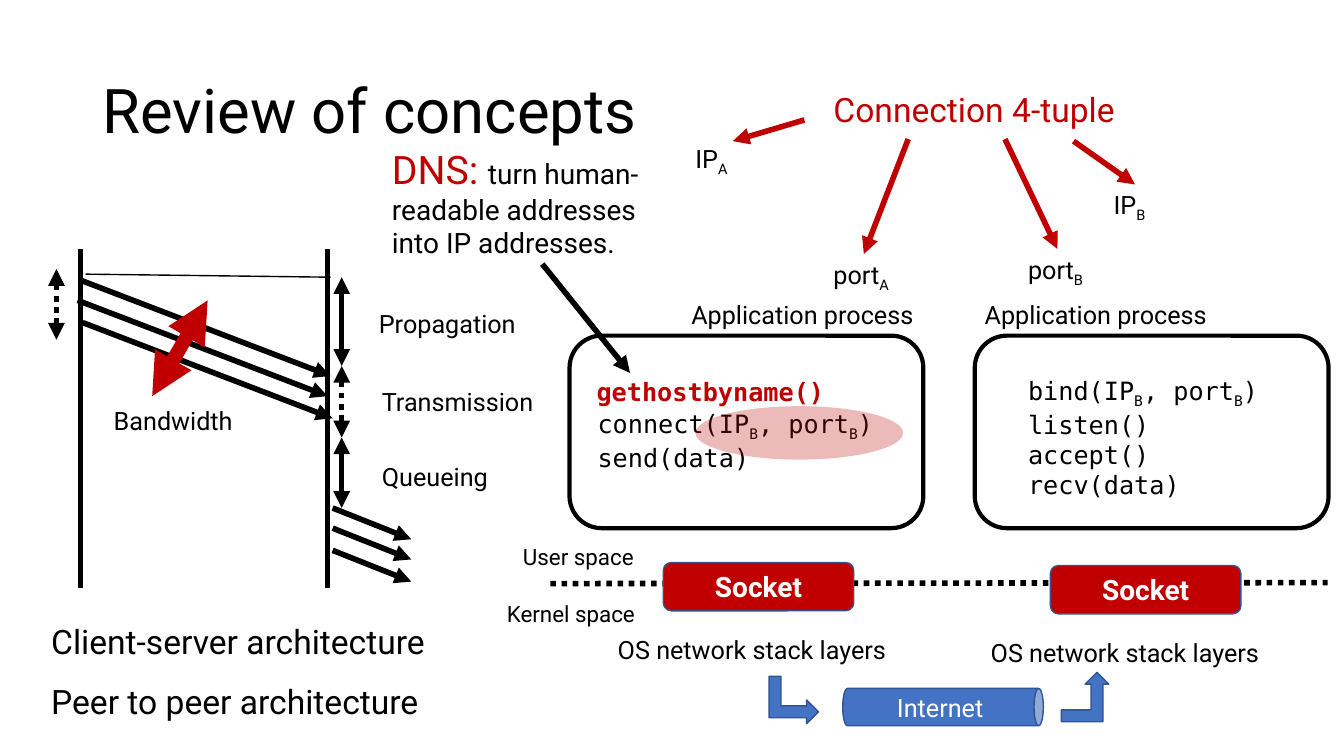
"""Build a one-slide review of networking concepts on a grid of tenth-inch cells."""
from dataclasses import dataclass, field

import lxml.etree
import pptx
import pptx.dml.color
import pptx.enum.dml
import pptx.enum.shapes
import pptx.enum.text
import pptx.oxml.ns
import pptx.util

COLS, ROWS = 133.33, 75
SHAPE = pptx.enum.shapes.MSO_SHAPE
qn = pptx.oxml.ns.qn


@dataclass(frozen=True)
class Theme:
    black: str = "000000"
    white: str = "FFFFFF"
    red: str = "C00000"
    blue: str = "4472C4"
    edge: str = "325491"
    sans: str = "Roboto"
    mono: str = "DejaVu Sans Mono"
    title: int = 44
    lead: int = 28
    heading: int = 24
    label: int = 20
    body: int = 18
    small: int = 16
    thick: int = 4


T = Theme()


@dataclass(frozen=True)
class Run:
    text: str
    size: int = T.body
    color: str = T.black
    font: str = T.sans
    bold: bool = False
    sub: bool = False


@dataclass(frozen=True)
class Text:
    col: float
    row: float
    cols: float
    rows: float
    paragraphs: list[list[Run]]
    spacing: float | None = None
    middle: bool = False


@dataclass(frozen=True)
class Line:
    start: tuple[float, float]
    end: tuple[float, float]
    color: str = T.black
    width: float = T.thick
    dotted: bool = False
    ends: tuple[str, ...] = ("tailEnd",)


@dataclass(frozen=True)
class Box:
    kind: SHAPE
    col: float
    row: float
    cols: float
    rows: float
    fill: str | None = None
    edge: str | None = T.edge
    width: float = 1
    rotation: float = 0
    opacity: int = 100
    runs: list[Run] = field(default_factory=list)


BOTH = ("headEnd", "tailEnd")


def cells(n: float) -> pptx.util.Emu:
    return pptx.util.Inches(n / 10)


def rgb(color: str) -> pptx.dml.color.RGBColor:
    return pptx.dml.color.RGBColor.from_string(color)


def add_runs(p, runs: list[Run]) -> None:
    for run in runs:
        r = p.add_run()
        r.text = run.text
        r.font.size = pptx.util.Pt(run.size)
        r.font.name = run.font
        r.font.bold = run.bold
        r.font.color.rgb = rgb(run.color)
        if run.sub:
            r._r.get_or_add_rPr().set("baseline", "-25000")


def draw_text(s, text: Text) -> None:
    sp = s.shapes.add_textbox(*map(cells, (text.col, text.row, text.cols, text.rows)))
    tf = sp.text_frame
    tf.word_wrap = True
    if text.middle:
        tf.vertical_anchor = pptx.enum.text.MSO_ANCHOR.MIDDLE
    for i, runs in enumerate(text.paragraphs):
        p = tf.add_paragraph() if i else tf.paragraphs[0]
        if text.spacing:
            p.line_spacing = text.spacing
        add_runs(p, runs)


def draw_line(s, line: Line) -> None:
    sp = s.shapes.add_connector(pptx.enum.shapes.MSO_CONNECTOR.STRAIGHT,
                                *map(cells, line.start + line.end))
    sp.line.color.rgb = rgb(line.color)
    sp.line.width = pptx.util.Pt(line.width)
    if line.dotted:
        sp.line.dash_style = pptx.enum.dml.MSO_LINE.ROUND_DOT
    ln = sp.line._get_or_add_ln()
    for end in line.ends:
        lxml.etree.SubElement(ln, qn(f"a:{end}")).set("type", "triangle")
    lxml.etree.SubElement(sp._element.spPr, qn("a:effectLst"))


def draw_box(s, box: Box) -> None:
    sp = s.shapes.add_shape(box.kind, *map(cells, (box.col, box.row, box.cols, box.rows)))
    sp.shadow.inherit = False
    sp.rotation = box.rotation
    if box.fill:
        sp.fill.solid()
        sp.fill.fore_color.rgb = rgb(box.fill)
    else:
        sp.fill.background()
    if box.opacity < 100:
        color = sp._element.spPr.find(f".//{qn('a:srgbClr')}")
        lxml.etree.SubElement(color, qn("a:alpha")).set("val", str(box.opacity * 1000))
    if box.edge:
        sp.line.color.rgb = rgb(box.edge)
        sp.line.width = pptx.util.Pt(box.width)
    else:
        sp.line.fill.background()
    if box.runs:
        tf = sp.text_frame
        tf.vertical_anchor = pptx.enum.text.MSO_ANCHOR.MIDDLE
        p = tf.paragraphs[0]
        p.alignment = pptx.enum.text.PP_ALIGN.CENTER
        add_runs(p, box.runs)


def label(col: float, row: float, cols: float, text: str,
          size: int = T.body, color: str = T.black) -> Text:
    return Text(col, row, cols, 4, [[Run(text, size, color)]])


def indexed(col: float, row: float, cols: float, name: str, index: str) -> Text:
    return Text(col, row, cols, 4, [[Run(name), Run(index, sub=True)]])


def code(text: str, sub: bool = False) -> Run:
    return Run(text, font=T.mono, sub=sub)


def address_call(name: str) -> list[Run]:
    return [code(f"{name}(IP"), code("B", True), code(", port"), code("B", True), code(")")]


def timing_diagram() -> list[Line | Text]:
    posts = [Line((x, 24.7), (x, 58.3), ends=()) for x in (8, 32.5)]
    packets = [Line((x, y), (x + 24.8, y + 9.5)) for x, y in ((8, 27.8), (7.7, 29.8), (8.2, 32))]
    onward = [Line((33, y), (40.8, y + 3.1)) for y in (50.4, 52.4, 54.6)]
    delays = [Line((33.9, a), (33.9, b), dotted=dotted, ends=BOTH)
              for a, b, dotted in ((27.5, 36.3, False), (36.3, 43.4, True), (43.4, 50.4, False))]
    return [*posts, *packets, *delays, *onward,
            label(36.6, 30.1, 17.1, "Propagation"),
            label(36.9, 37.8, 17.1, "Transmission"),
            label(36.9, 45.3, 17.1, "Queueing"),
            Line((20.6, 29.8), (15.1, 39.3), T.red, 10, ends=BOTH),
            label(10.3, 39.7, 13.9, "Bandwidth"),
            Line((8.5, 27.2), (32.8, 27.5), width=1, ends=()),
            Line((5.6, 26.7), (5.6, 33.7), dotted=True, ends=BOTH)]


def hosts() -> list[Line | Text | Box]:
    items: list[Line | Text | Box] = [
        Line((54.6, 57.9), (131.7, 57.8), dotted=True, ends=()),
        label(50.9, 53.4, 16.4, "User space", T.small),
        label(49.3, 59, 16.4, "Kernel space", T.small)]
    for process, frame, socket, socket_row, stack, stack_row in (
            (67.6, 56.5, 65.8, 55.8, 60.3, 62.4), (96.7, 96.7, 104.2, 56.1, 97.3, 62.7)):
        items += [label(process, 29.2, 27.6, "Application process"),
                  Box(SHAPE.ROUNDED_RECTANGLE, frame, 33.3, 35.1, 19.1, edge=T.black, width=3),
                  Box(SHAPE.ROUNDED_RECTANGLE, socket, socket_row, 18.9, 4.8, T.red,
                      runs=[Run("Socket", T.label, T.white, bold=True)]),
                  label(stack, stack_row, 29.8, "OS network stack layers")]
    return items + [
        Text(58.3, 40, 37.6, 7.1, [address_call("connect"), [code("send(data)")]]),
        Text(101, 36.7, 27.9, 13.1, [address_call("bind"), *(
            [code(f"{call}")] for call in ("listen()", "accept()", "recv(data)"))]),
        Box(SHAPE.OVAL, 69, 40.3, 20.6, 5.3, T.red, edge=None, opacity=27),
        Text(58.2, 36.8, 37.6, 4, [[Run("gethostbyname()", color=T.red, font=T.mono, bold=True)]]),
        Box(SHAPE.CAN, 91.7, 60.2, 3.7, 19.9, T.blue, rotation=90),
        label(88, 68.2, 13, "Internet", color=T.white),
        Box(SHAPE.BENT_UP_ARROW, 76.4, 67, 4.7, 4.9, T.blue, rotation=90),
        Box(SHAPE.BENT_UP_ARROW, 105.3, 66.7, 4.7, 4.9, T.blue)]


def concepts() -> list[Line | Text]:
    tuple_arrows = [Line(a, b, T.red) for a, b in (
        ((79.8, 11.9), (72.7, 14)), ((90.1, 13.8), (85.7, 25.2)),
        ((106.5, 14), (112.6, 18.3)), ((99.7, 13.8), (104.9, 24.7)))]
    return [Text(9.2, 4, 115, 14.5, [[Run("Review of concepts", T.title)]], 0.9, True),
            Text(4.1, 59.1, 46.6, 12.5, [[Run(f"{kind} architecture", T.heading)]
                                         for kind in ("Client-server", "Peer to peer")], 1.5),
            label(81.7, 8.3, 35.1, "Connection 4-tuple", T.heading, T.red),
            *tuple_arrows,
            indexed(68, 13.7, 6.3, "IP", "A"), indexed(81.7, 25.2, 7.9, "port", "A"),
            indexed(109.5, 18.3, 6.3, "IP", "B"), indexed(101, 24.7, 7.9, "port", "B"),
            Text(37.9, 13.9, 30.7, 12.5, [[
                Run("DNS: ", T.lead, T.red),
                Run("turn human-readable addresses into IP addresses.", T.label)]]),
            Line((53.8, 26.2), (62.5, 37))]


def main() -> None:
    prs = pptx.Presentation()
    prs.slide_width, prs.slide_height = cells(COLS), cells(ROWS)
    s = prs.slides.add_slide(prs.slide_layouts[6])
    draw = {Text: draw_text, Line: draw_line, Box: draw_box}
    for item in timing_diagram() + hosts() + concepts():
        draw[type(item)](s, item)
    prs.save("out.pptx")


if __name__ == "__main__":
    main()
